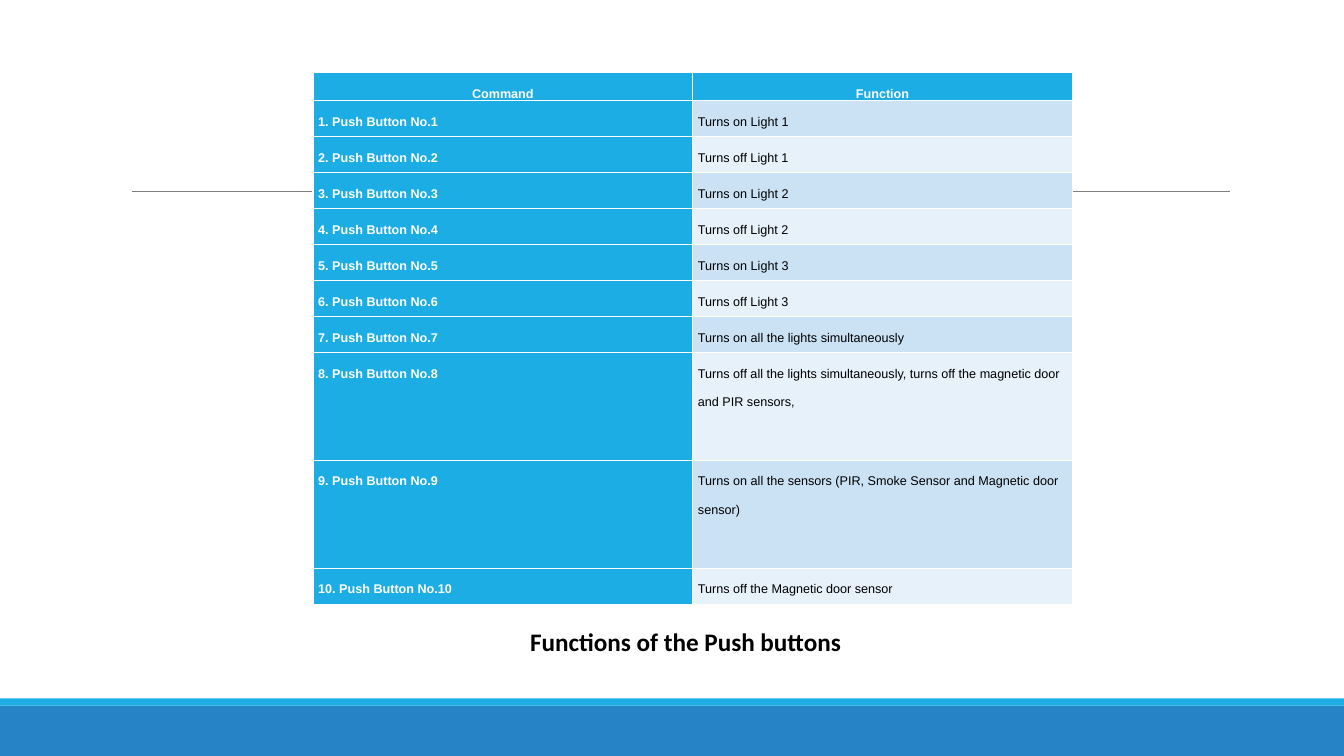
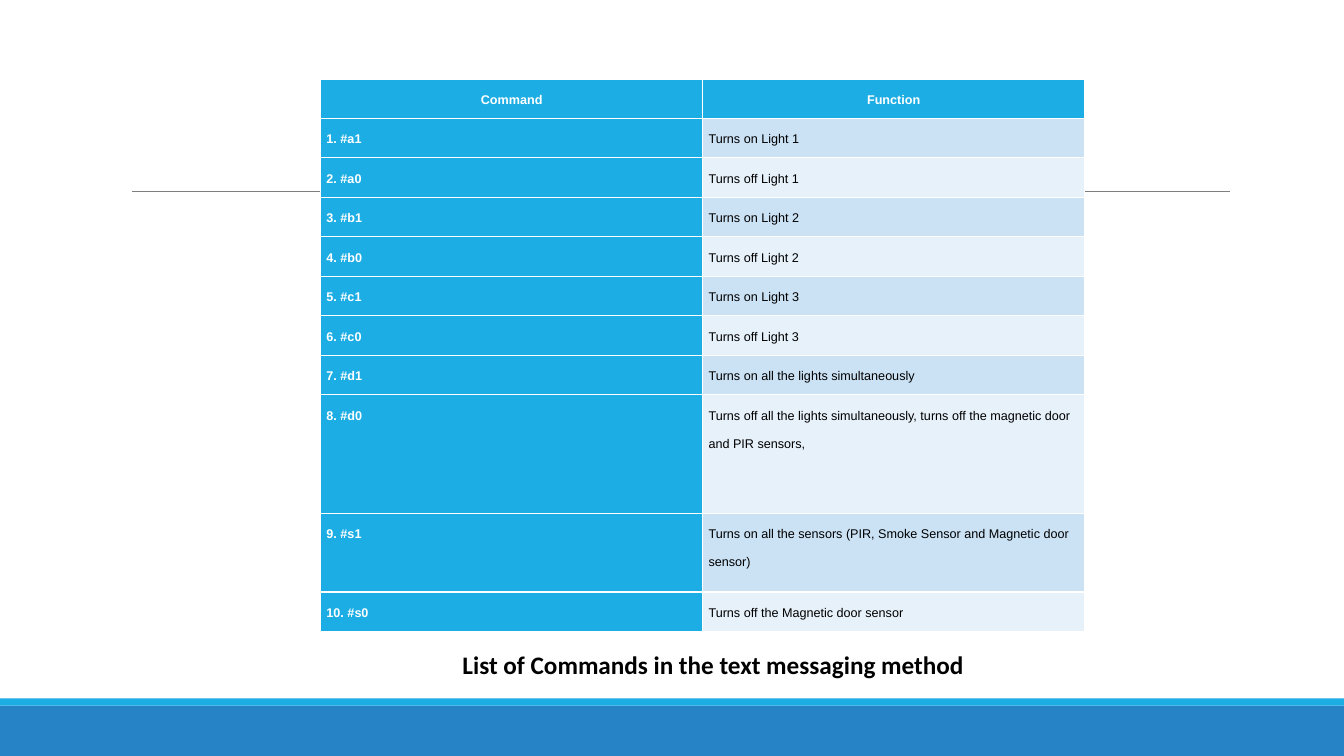
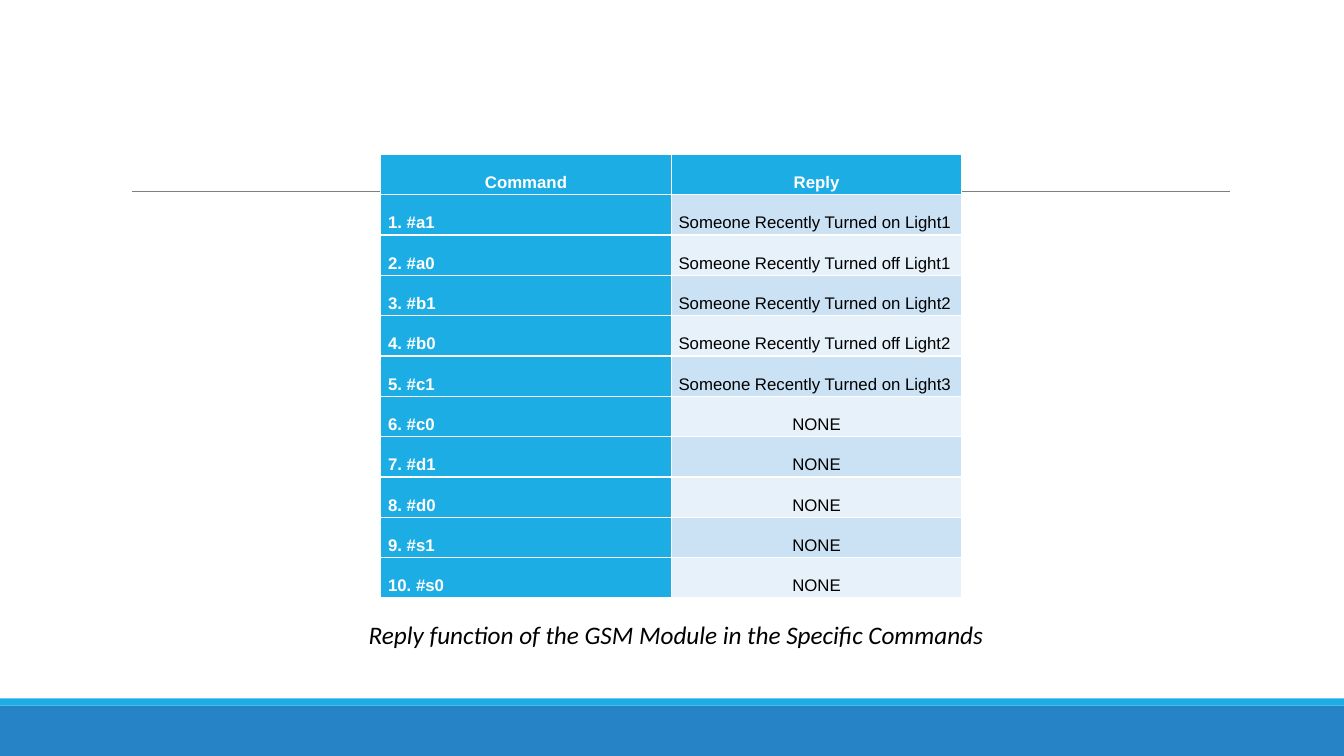
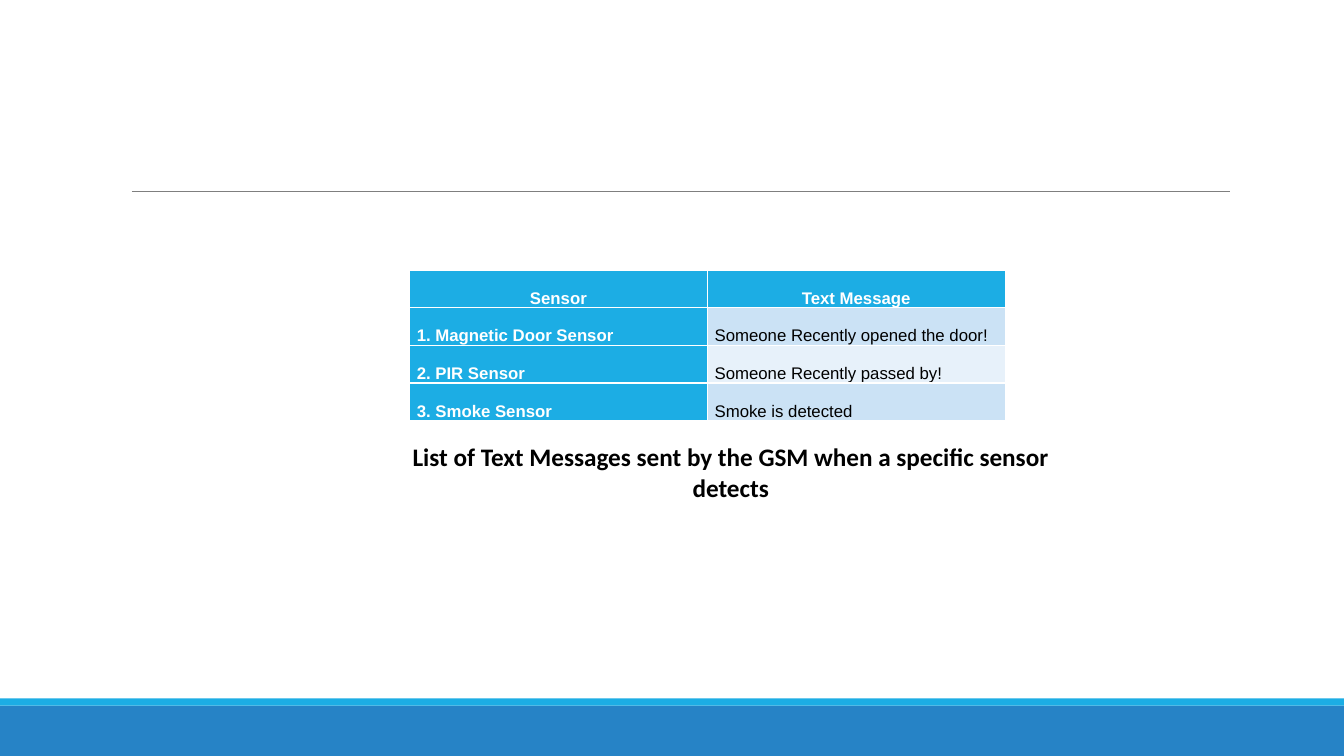
from lxml.etree import SubElement
from pptx import Presentation
from pptx.dml.color import RGBColor
from pptx.enum.shapes import MSO_CONNECTOR as Connector, MSO_SHAPE as Shape
from pptx.enum.text import MSO_AUTO_SIZE as AutoSize, PP_ALIGN as Align
from pptx.oxml.ns import qn
from pptx.util import Pt

SLIDE_WIDTH, SLIDE_HEIGHT = 960, 540
COLOURS = {
    "accent": "1CADE4",
    "band": "2683C6",
    "rule": "7F7F7F",
    "row_dark": "CBE2F5",
    "row_light": "E7F1FA",
    "white": "FFFFFF",
    "black": "000000",
}
TABLE_FONT, CAPTION_FONT = "Arial", "Calibri"

BUTTONS = [f"Push Button No.{number}" for number in range(1, 11)]
TEXT_COMMANDS = [f"#{letter}{state}" for letter in "abcds" for state in (1, 0)]
FUNCTIONS = [f"Turns {state} Light {light}" for light in (1, 2, 3) for state in ("on", "off")] + [
    "Turns on all the lights simultaneously",
    "Turns off all the lights simultaneously, turns off the magnetic door and PIR sensors,",
    "Turns on all the sensors (PIR, Smoke Sensor and Magnetic door sensor)",
    "Turns off the Magnetic door sensor",
]
REPLIES = [
    f"Someone Recently Turned {state} Light{light}"
    for light, state in ((1, "on"), (1, "off"), (2, "on"), (2, "off"), (3, "on"))
] + ["NONE"] * 5
SENSORS = ["Magnetic Door Sensor", "PIR Sensor", "Smoke Sensor"]
MESSAGES = ["Someone Recently opened the door!", "Someone Recently passed by!", "Smoke is detected"]

SLIDES = [
    {
        "headings": ("Command", "Function"),
        "columns": (BUTTONS, FUNCTIONS),
        "table_box": (223.5, 51.8, 542.5),
        "row_heights": [11.5] + [25.7] * 7 + [77.1, 77.1, 25.7],
        "size": 9,
        "inset": 3.8,
        "caption": "Functions of the Push buttons",
        "caption_box": (371.5, 443.5, 239, 29),
    },
    {
        "headings": ("Command", "Function"),
        "columns": (TEXT_COMMANDS, FUNCTIONS),
        "table_box": (229, 56.4, 545.8),
        "row_heights": [28.2] * 8 + [84.7, 56.4, 28.2],
        "size": 9,
        "inset": 4.2,
        "caption": "List of Commands in the text messaging method",
        "caption_box": (323.3, 460, 376, 29),
    },
    {
        "headings": ("Command", "Reply"),
        "columns": (TEXT_COMMANDS, REPLIES),
        "table_box": (272, 110.3, 415),
        "row_heights": [28.8] * 11,
        "size": 12,
        "inset": 5.2,
        "caption": "Reply function of the GSM Module in the Specific Commands",
        "caption_box": (256.3, 439, 459, 29),
        "italic": True,
    },
    {
        "headings": ("Sensor", "Text Message"),
        "columns": (SENSORS, MESSAGES),
        "table_box": (292.5, 192.8, 425.5),
        "row_heights": [12.2] * 4,
        "size": 12,
        "inset": 5.2,
        "caption": "List of Text Messages sent by the GSM when a specific sensor detects",
        "caption_box": (282, 312, 480, 51),
        "align": Align.CENTER,
    },
]


def colour(name):
    return RGBColor.from_string(COLOURS[name])


def format_paragraph(paragraph, font_name, size, colour_name, bold=False, italic=False, align=Align.LEFT):
    paragraph.alignment = align
    font = paragraph.font
    font.name, font.size, font.bold, font.italic = font_name, Pt(size), bold, italic
    font.color.rgb = colour(colour_name)


def decorate_layout(layout, slide):
    """Draw the bands and the rule, then move them to the layout that all slides share."""
    decorations = []
    for top, height, fill in ((504, 36, "band"), (498.8, 5.2, "accent")):
        band = slide.shapes.add_shape(Shape.RECTANGLE, 0, Pt(top), Pt(SLIDE_WIDTH), Pt(height))
        band.shadow.inherit = False
        band.fill.solid()
        band.fill.fore_color.rgb = colour(fill)
        band.line.fill.background()
        decorations.append(band)
    rule = slide.shapes.add_connector(Connector.STRAIGHT, Pt(94.2), Pt(136.8), Pt(878.8), Pt(136.8))
    rule.line.color.rgb = colour("rule")
    rule.line.width = Pt(0.75)
    SubElement(rule.element.spPr, qn("a:effectLst"))
    for shape in decorations + [rule]:
        layout.shapes.element.append(shape.element)


def fill_cell(cell, text, fill, size, inset, **style):
    cell.margin_left = cell.margin_right = Pt(inset)
    cell.margin_top = cell.margin_bottom = 0
    cell.fill.solid()
    cell.fill.fore_color.rgb = colour(fill)
    cell.text = text
    paragraph = cell.text_frame.paragraphs[0]
    paragraph.line_spacing = 2.0
    format_paragraph(paragraph, TABLE_FONT, size, **style)


def add_command_table(slide, box, headings, columns, row_heights, size, inset):
    """Two-column table with a header row and a numbered, bold first column."""
    left, top, width = box
    frame = slide.shapes.add_table(
        len(row_heights), 2, Pt(left), Pt(top), Pt(width), Pt(sum(row_heights)))
    table = frame.table
    table.first_col = True
    for row, height in zip(table.rows, row_heights):
        row.height = Pt(height)
    strong = {"colour_name": "white", "bold": True}
    for column, heading in enumerate(headings):
        fill_cell(table.cell(0, column), heading, "accent", size, inset, align=Align.CENTER, **strong)
    for number, (label, text) in enumerate(zip(*columns), start=1):
        fill_cell(table.cell(number, 0), f"{number}. {label}", "accent", size, inset, **strong)
        fill_cell(table.cell(number, 1), text, "row_dark" if number % 2 else "row_light", size, inset,
                  colour_name="black", align=Align.CENTER if text == "NONE" else Align.LEFT)


def add_caption(slide, box, text, italic, align):
    frame = slide.shapes.add_textbox(*map(Pt, box)).text_frame
    frame.word_wrap = True
    frame.auto_size = AutoSize.SHAPE_TO_FIT_TEXT
    frame.text = text
    format_paragraph(frame.paragraphs[0], CAPTION_FONT, 18, "black", not italic, italic, align)


def add_table_slide(slide, content):
    add_command_table(slide, content["table_box"], content["headings"], content["columns"],
                      content["row_heights"], content["size"], content["inset"])
    add_caption(slide, content["caption_box"], content["caption"],
                content.get("italic", False), content.get("align", Align.LEFT))


def main():
    presentation = Presentation()
    presentation.slide_width, presentation.slide_height = Pt(SLIDE_WIDTH), Pt(SLIDE_HEIGHT)
    layout = presentation.slide_layouts.get_by_name("Blank")
    slides = [presentation.slides.add_slide(layout) for _ in SLIDES]
    decorate_layout(layout, slides[0])
    for slide, content in zip(slides, SLIDES):
        add_table_slide(slide, content)
    presentation.save("out.pptx")


if __name__ == "__main__":
    main()
